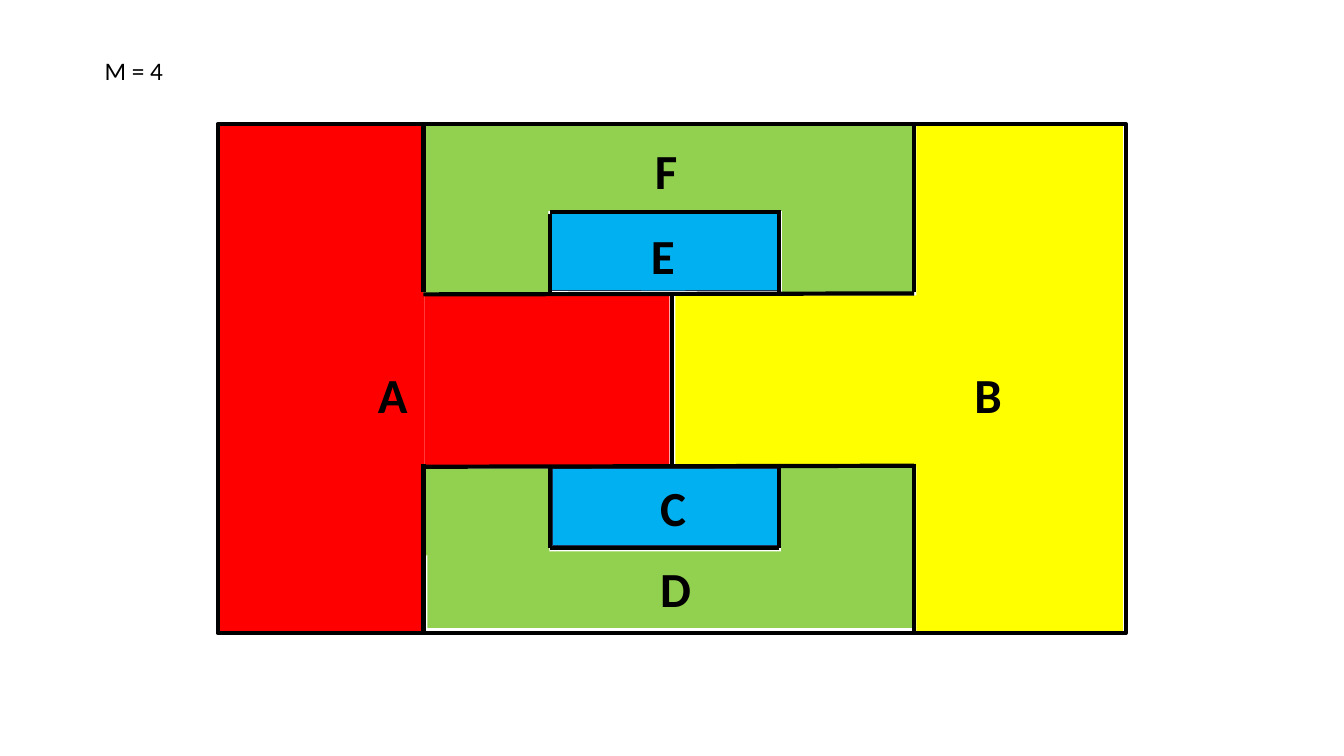
from pptx import Presentation
from pptx.dml.color import RGBColor
from pptx.enum.shapes import MSO_CONNECTOR, MSO_SHAPE
from pptx.enum.text import MSO_AUTO_SIZE
from pptx.util import Pt
from lxml import etree

RECTANGLE = MSO_SHAPE.RECTANGLE
STRAIGHT = MSO_CONNECTOR.STRAIGHT
FIT_TEXT = MSO_AUTO_SIZE.SHAPE_TO_FIT_TEXT
EFFECTS = "{http://schemas.openxmlformats.org/drawingml/2006/main}effectLst"
COLORS = {"red": "FF0000", "yellow": "FFFF00", "green": "92D050",
          "blue": "00B0F0", "navy": "1E3256", "black": "000000"}
FONT = "Calibri"
BORDER = 3


def color(name):
    return RGBColor.from_string(COLORS[name])


def add_area(shapes, box, place, fill=None, line=None, weight=1):
    x, y, width, height = place
    area = shapes.add_shape(RECTANGLE, Pt(box[0] + x), Pt(box[1] + y), Pt(width), Pt(height))
    area.shadow.inherit = False
    if fill:
        area.fill.solid()
        area.fill.fore_color.rgb = color(fill)
    else:
        area.fill.background()
    if line:
        area.line.color.rgb = color(line)
        area.line.width = Pt(weight)
    else:
        area.line.fill.background()


def add_border(shapes, box, x1, y1, x2, y2):
    left, top = box[:2]
    border = shapes.add_connector(STRAIGHT, Pt(left + x1), Pt(top + y1),
                                  Pt(left + x2), Pt(top + y2))
    border.line.color.rgb = color("black")
    border.line.width = Pt(BORDER)
    etree.SubElement(border._element.spPr, EFFECTS)


def add_label(shapes, box, text, place, size=35, bold=True, fill=None):
    x, y, width, height = place
    label = shapes.add_textbox(Pt(box[0] + x), Pt(box[1] + y), Pt(width), Pt(height))
    if fill:
        label.fill.solid()
        label.fill.fore_color.rgb = color(fill)
    frame = label.text_frame
    frame.word_wrap = False
    frame.auto_size = FIT_TEXT
    run = frame.paragraphs[0].add_run()
    run.text = text
    run.font.name = FONT
    run.font.size = Pt(size)
    run.font.bold = bold
    run.font.color.rgb = color("black")


def draw_side(shapes, box, fill, side_x, arm_x):
    add_area(shapes, box, (arm_x, 122.4, 175, 122.4), fill)
    add_area(shapes, box, (side_x, 0, 147.6, box[3]), fill)


def draw_band(shapes, box, strip, legs, core):
    for place in (strip, *legs):
        add_area(shapes, box, place, "green")
    add_area(shapes, box, core, "blue", "navy")


def draw_borders(shapes, box):
    width, height = box[2:]
    add_area(shapes, box, (0, 0, width, height), line="black", weight=BORDER)
    for x in (147, 497.5):
        for top in (0, 242.6):
            add_border(shapes, box, x, top, x, top + 120.2)
    add_border(shapes, box, 324.7, 121.7, 324.7, 242.6)
    for y in (121.7, 244.8):
        add_border(shapes, box, 147, y, 497.5, y - 0.7)
    core_left, core_right = 237.6, 401
    for left_top, right_top, bottom, edge in ((244.8, 242.6, 303.1, 303.1),
                                              (64.1, 61.2, 121.7, 62.6)):
        add_border(shapes, box, core_left, left_top, core_left, bottom)
        add_border(shapes, box, core_right, right_top, core_right, bottom)
        add_border(shapes, box, core_left, edge, core_right, edge)


def draw_labels(shapes, box):
    for letter, x, y, width, fill in (
            ("A", 107.3, 168.5, 36, None), ("B", 533.5, 168.5, 34.6, None),
            ("E", 302.4, 69.1, 31.7, "blue"), ("F", 305.3, 7.9, 31, None),
            ("C", 308.9, 249.1, 33.1, "blue"), ("D", 308.9, 306.7, 36.7, "green")):
        add_label(shapes, box, letter, (x, y, width, 49.7), fill=fill)


def draw_map(slide, box):
    regions = slide.shapes.add_group_shape().shapes
    draw_side(regions, box, "yellow", 499, 327)
    draw_side(regions, box, "red", 0, 147.6)
    draw_band(regions, box, (149.8, 305.3, 346.3, 54.7),
              ((147.6, 246.2, 89.3, 62), (402.5, 244.8, 93.6, 62)),
              (239, 246.2, 161.3, 54.7))
    draw_band(regions, box, (147, 0, 350.6, 62),
              ((147, 59, 89.3, 62), (403.2, 59.8, 94.3, 62)),
              (237.6, 64.1, 162.7, 54.7))
    draw_borders(regions, box)
    draw_labels(regions, box)


def draw_count(slide, box):
    add_label(slide.shapes, box, "M = 4", (0, 0, *box[2:]), size=18, bold=False)


deck = Presentation()
deck.slide_width, deck.slide_height = Pt(960), Pt(540)
map_slide = deck.slides.add_slide(deck.slide_layouts[6])
draw_map(map_slide, (155.5, 88.6, 648.7, 363.6))
draw_count(map_slide, (67.7, 36, 56.9, 28.8))
deck.save("out.pptx")
